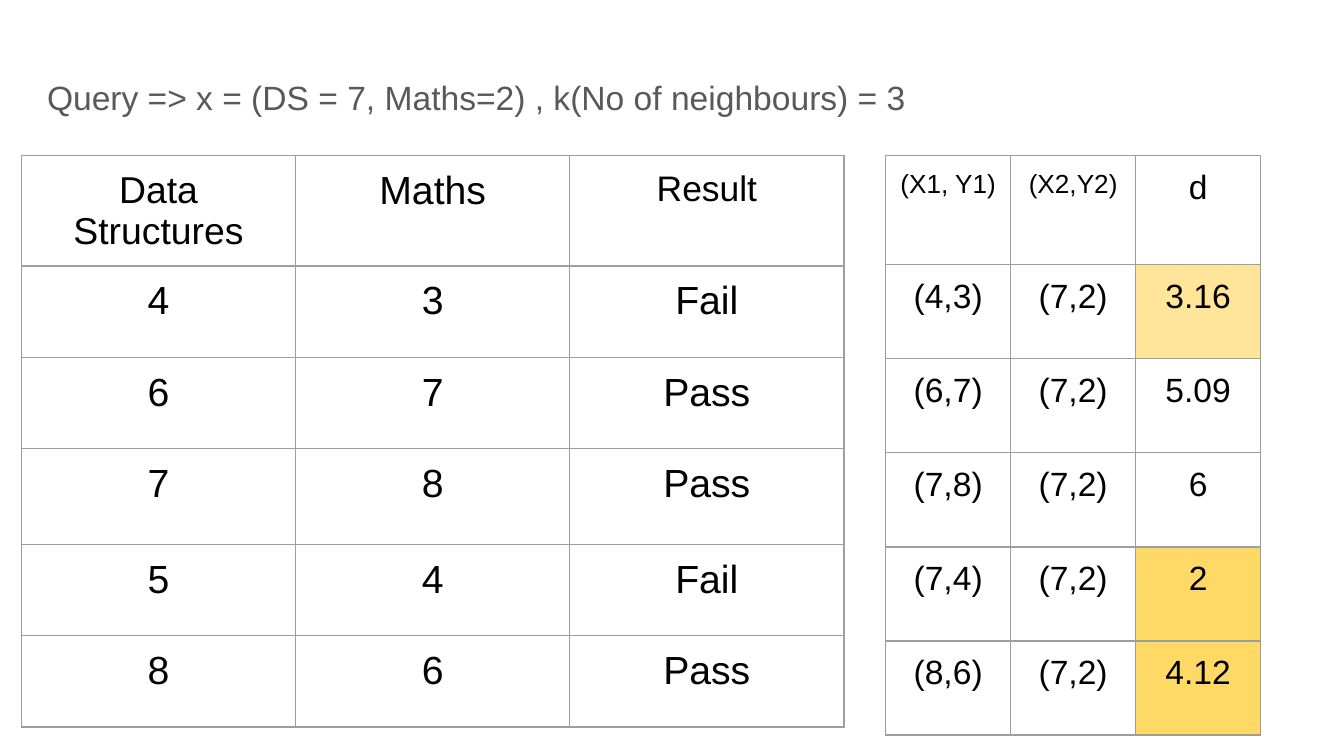
import pptx
import pptx.util
import pptx.dml.color
import pptx.enum.text
import pptx.oxml
import pptx.oxml.ns

Inches, Pt = pptx.util.Inches, pptx.util.Pt
ALIGN = pptx.enum.text.PP_ALIGN

COLORS = {
    "query": "595959",
    "text": "000000",
    "border": "9E9E9E",
    "near": "FFE599",
    "nearest": "FFD966",
}
FONT = "Arial"
INSET = Inches(0.1)
SLIDE_WIDTH = 10
SLIDE_HEIGHT = SLIDE_WIDTH * 9 / 16
TABLE_TOP = 1.16

STUDENTS = [
    ["Data Structures", "Maths", "Result"],
    ["4", "3", "Fail"],
    ["6", "7", "Pass"],
    ["7", "8", "Pass"],
    ["5", "4", "Fail"],
    ["8", "6", "Pass"],
]
QUERY_POINT = "(7,2)"
DISTANCES = [["(X1, Y1)", "(X2,Y2)", "d"]] + [
    [point, QUERY_POINT, distance]
    for point, distance in [
        ("(4,3)", "3.16"), ("(6,7)", "5.09"), ("(7,8)", "6"),
        ("(7,4)", "2"), ("(8,6)", "4.12"),
    ]
]
NEIGHBOURS = {(1, 2): "near", (4, 2): "nearest", (5, 2): "nearest"}


def rgb(name):
    return pptx.dml.color.RGBColor.from_string(COLORS[name])


def set_font(paragraph, size, color):
    paragraph.font.name = FONT
    paragraph.font.size = Pt(size)
    paragraph.font.color.rgb = rgb(color)


def set_borders(cell):
    properties = cell._tc.get_or_add_tcPr()
    for position, side in enumerate(("lnL", "lnR", "lnT", "lnB")):
        properties.insert(position, pptx.oxml.parse_xml(
            f'<a:{side} {pptx.oxml.ns.nsdecls("a")} w="{Pt(0.75)}"><a:solidFill>'
            f'<a:srgbClr val="{COLORS["border"]}"/></a:solidFill></a:{side}>'))


def add_query(slide, left, top, width, height):
    query = slide.shapes.title
    query.left, query.top = Inches(left), Inches(top)
    query.width, query.height = Inches(width), Inches(height)
    frame = query.text_frame
    frame.text = "Query => x = (DS = 7, Maths=2) , k(No of neighbours) = 3"
    frame.word_wrap = True
    frame.auto_size = pptx.enum.text.MSO_AUTO_SIZE.NONE
    frame.vertical_anchor = pptx.enum.text.MSO_ANCHOR.TOP
    frame.margin_left = frame.margin_right = INSET
    frame.margin_top = frame.margin_bottom = INSET
    line = frame.paragraphs[0]
    line.alignment = ALIGN.LEFT
    line.line_spacing = 1.15
    line.space_before = Pt(0)
    set_font(line, 18, "query")


def add_grid(slide, left, top, column_width, row_heights, rows,
             header_sizes, body_size, highlights):
    """Add a bordered table; highlights maps (row, column) to a colour name."""
    columns = len(rows[0])
    grid = slide.shapes.add_table(
        len(rows), columns, Inches(left), Inches(top),
        Inches(column_width * columns), Inches(sum(row_heights))).table
    grid.first_row = grid.horz_banding = False
    for column in grid.columns:
        column.width = Inches(column_width)
    for row, height in zip(grid.rows, row_heights):
        row.height = Inches(height)
    for r, values in enumerate(rows):
        for c, value in enumerate(values):
            cell = grid.cell(r, c)
            cell.text = value
            cell.margin_left = cell.margin_right = INSET
            cell.margin_top = cell.margin_bottom = INSET
            paragraph = cell.text_frame.paragraphs[0]
            paragraph.alignment = ALIGN.CENTER
            set_font(paragraph, body_size if r else header_sizes[c], "text")
            if (r, c) in highlights:
                cell.fill.solid()
                cell.fill.fore_color.rgb = rgb(highlights[r, c])
            else:
                cell.fill.background()
            set_borders(cell)


def main():
    deck = pptx.Presentation()
    deck.slide_width = Inches(SLIDE_WIDTH)
    deck.slide_height = Inches(SLIDE_HEIGHT)
    slide = deck.slides.add_slide(deck.slide_layouts.get_by_name("Title Only"))
    add_query(slide, 0.25, 0.43, 7.26, 0.64)
    add_grid(slide, 0.16, TABLE_TOP, 2.04, [0.82, 0.68, 0.68, 0.71, 0.68, 0.68],
             STUDENTS, (20, 21, 19), 21, {})
    add_grid(slide, 6.59, TABLE_TOP, 0.93, [0.81] + [0.7] * 5,
             DISTANCES, (14, 14, 18), 18, NEIGHBOURS)
    deck.save("out.pptx")


if __name__ == "__main__":
    main()
